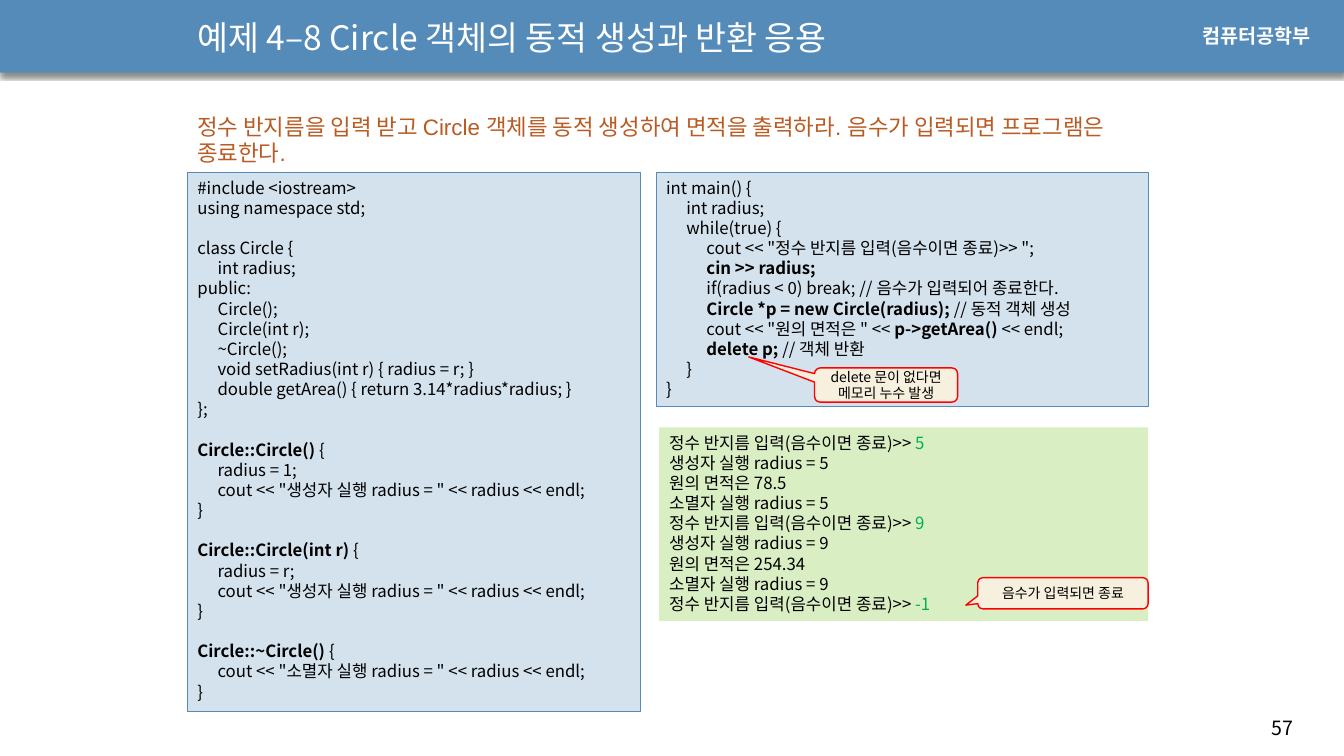
from dataclasses import dataclass

from lxml import etree
from pptx import Presentation
from pptx import util as u
from pptx.dml.color import RGBColor
from pptx.enum import shapes, text
from pptx.oxml.ns import qn


@dataclass(frozen=True)
class Theme:
    blue: str = "558BB8"
    code_fill: str = "D4E2ED"
    console_fill: str = "DAEEC4"
    note_fill: str = "F7F0DE"
    red: str = "FF0000"
    green: str = "00B050"
    brown: str = "B95B22"
    white: str = "FFFFFF"
    black: str = "000000"
    font: str = "Noto Sans CJK KR"
    label_font: str = "Arial"
    title_size: int = 24
    heading_size: int = 16
    label_size: int = 14
    code_size: int = 12
    note_size: int = 10
    leading: float = 1.2
    indent: float = 14.4


CLASS_CODE = """#include <iostream>
using namespace std;

class Circle {
    int radius;
public:
    Circle();
    Circle(int r);
    ~Circle();
    void setRadius(int r) { radius = r; }
    double getArea() { return 3.14*radius*radius; }
};

**Circle::Circle() **{
    radius = 1;
    cout << "생성자 실행 radius = " << radius << endl;
}

**Circle::Circle(int r) **{
    radius = r;
    cout << "생성자 실행 radius = " << radius << endl;
}

**Circle::~Circle() **{
    cout << "소멸자 실행 radius = " << radius << endl;
}"""

MAIN_CODE = """int main() {
    int radius;
    while(true) {
        cout << "정수 반지름 입력(음수이면 종료)>> ";
        **cin >> radius;**
        if(radius < 0) break; // 음수가 입력되어 종료한다.
        **Circle *p = new Circle(radius); **// 동적 객체 생성
        cout << "원의 면적은 " << **p->getArea() **<< endl;
        **delete p; **// 객체 반환
    }
}"""

CONSOLE = """정수 반지름 입력(음수이면 종료)>> **5**
생성자 실행 radius = 5
원의 면적은 78.5
소멸자 실행 radius = 5
정수 반지름 입력(음수이면 종료)>> **9**
생성자 실행 radius = 9
원의 면적은 254.34
소멸자 실행 radius = 9
정수 반지름 입력(음수이면 종료)>> **-1**"""


class SlideBuilder:
    def __init__(self, slide, theme):
        self.slide = slide
        self.theme = theme

    def box(self, bounds, fill, line=None, weight=0.75, kind=shapes.MSO_SHAPE.RECTANGLE):
        shape = self.slide.shapes.add_shape(kind, *map(u.Pt, bounds))
        shape.shadow.inherit = False
        shape.fill.solid()
        shape.fill.fore_color.rgb = RGBColor.from_string(fill)
        if line:
            shape.line.color.rgb = RGBColor.from_string(line)
            shape.line.width = u.Pt(weight)
        else:
            shape.line.fill.background()
        return shape

    def set_text(self, shape, content, size, color=None, font=None, bold=False,
                 accent=None, centred=False, middle=False):
        frame = shape.text_frame
        frame.word_wrap = True
        frame.vertical_anchor = text.MSO_ANCHOR.MIDDLE if middle else text.MSO_ANCHOR.TOP
        line_height = u.Pt(size * self.theme.leading)
        paragraph = frame.paragraphs[0]
        gap = 0
        for index, line in enumerate(content.splitlines()):
            if not line:
                gap = line_height
                continue
            if index:
                paragraph = frame.add_paragraph()
            paragraph.alignment = text.PP_ALIGN.CENTER if centred else text.PP_ALIGN.LEFT
            paragraph.line_spacing = line_height
            paragraph.space_before = gap
            gap = 0
            self.style(paragraph, size, color or self.theme.black,
                       font or self.theme.font, bold)
            code = line.lstrip(" ")
            depth = (len(line) - len(code)) // 4
            if depth:
                properties = paragraph._p.get_or_add_pPr()
                properties.set("marL", str(u.Pt(depth * self.theme.indent)))
                properties.set("indent", "0")
            for position, part in enumerate(code.split("**")):
                if part:
                    run = paragraph.add_run()
                    run.text = part
                    if position % 2:
                        self.emphasise(run, accent)

    def style(self, paragraph, size, color, font, bold):
        paragraph.font.size = u.Pt(size)
        paragraph.font.bold = bold
        paragraph.font.name = font
        paragraph.font.color.rgb = RGBColor.from_string(color)
        properties = paragraph._p.pPr.find(qn("a:defRPr"))
        east_asian = etree.Element(qn("a:ea"), typeface=self.theme.font)
        properties.find(qn("a:latin")).addnext(east_asian)

    def emphasise(self, run, accent):
        if accent:
            run.font.color.rgb = RGBColor.from_string(accent)
        else:
            run.font.bold = True

    def label(self, bounds, content, size, **style):
        shape = self.slide.shapes.add_textbox(*map(u.Pt, bounds))
        self.set_text(shape, content, size, **style)

    def panel(self, bounds, content, fill, line=None, accent=None):
        shape = self.box(bounds, fill, line)
        self.set_text(shape, content, self.theme.code_size, accent=accent)

    def callout(self, bounds, content, tip):
        kind = shapes.MSO_SHAPE.ROUNDED_RECTANGULAR_CALLOUT
        shape = self.box(bounds, self.theme.note_fill, self.theme.red, 1, kind)
        shape.adjustments[0], shape.adjustments[1] = tip
        self.set_text(shape, content, self.theme.note_size, centred=True, middle=True)

    def header(self, bounds):
        shape = self.box(bounds, self.theme.blue)
        effects = shape._element.spPr.find(qn("a:effectLst"))
        shadow = etree.SubElement(effects, qn("a:outerShdw"), blurRad=str(u.Pt(3)),
                                  dist=str(u.Pt(2.4)), dir="5400000", rotWithShape="0")
        color = etree.SubElement(shadow, qn("a:srgbClr"), val=self.theme.black)
        etree.SubElement(color, qn("a:alpha"), val="45000")


def main():
    theme = Theme()
    presentation = Presentation()
    presentation.slide_width, presentation.slide_height = u.Pt(960), u.Pt(540)
    slide = presentation.slides.add_slide(presentation.slide_layouts[6])
    builder = SlideBuilder(slide, theme)

    builder.header((0, -0.7, 960, 52.6))
    builder.label((901.4, 507.6, 51, 24.5), "57", theme.label_size)
    builder.label((851.8, 13.7, 106, 24.5), "컴퓨터공학부", theme.label_size,
                  color=theme.white, font=theme.label_font, bold=True)
    builder.label((133.9, 3.6, 601, 45.4), "예제 4–8 Circle 객체의 동적 생성과 반환 응용",
                  theme.title_size, color=theme.white, middle=True)
    builder.panel((470.9, 305.3, 349.2, 138.2), CONSOLE, theme.console_fill,
                  accent=theme.green)
    builder.panel((133.9, 123.1, 323.3, 385.2), CLASS_CODE, theme.code_fill, theme.blue)
    builder.panel((468.7, 123.1, 351.4, 167), MAIN_CODE, theme.code_fill, theme.blue)
    builder.callout((581.8, 262.8, 102.2, 24.5), "delete 문이 없다면\n메모리 누수 발생",
                    (-0.96, -0.82))
    builder.callout((698.4, 412.6, 121.7, 22.3), "음수가 입력되면 종료", (-0.57, 0.38))
    builder.label((133.9, 77, 668.9, 46),
                  "정수 반지름을 입력 받고 Circle 객체를 동적 생성하여 면적을 출력하라. "
                  "음수가 입력되면 프로그램은 종료한다.",
                  theme.heading_size, color=theme.brown, font=theme.label_font)
    presentation.save("out.pptx")


if __name__ == "__main__":
    main()
